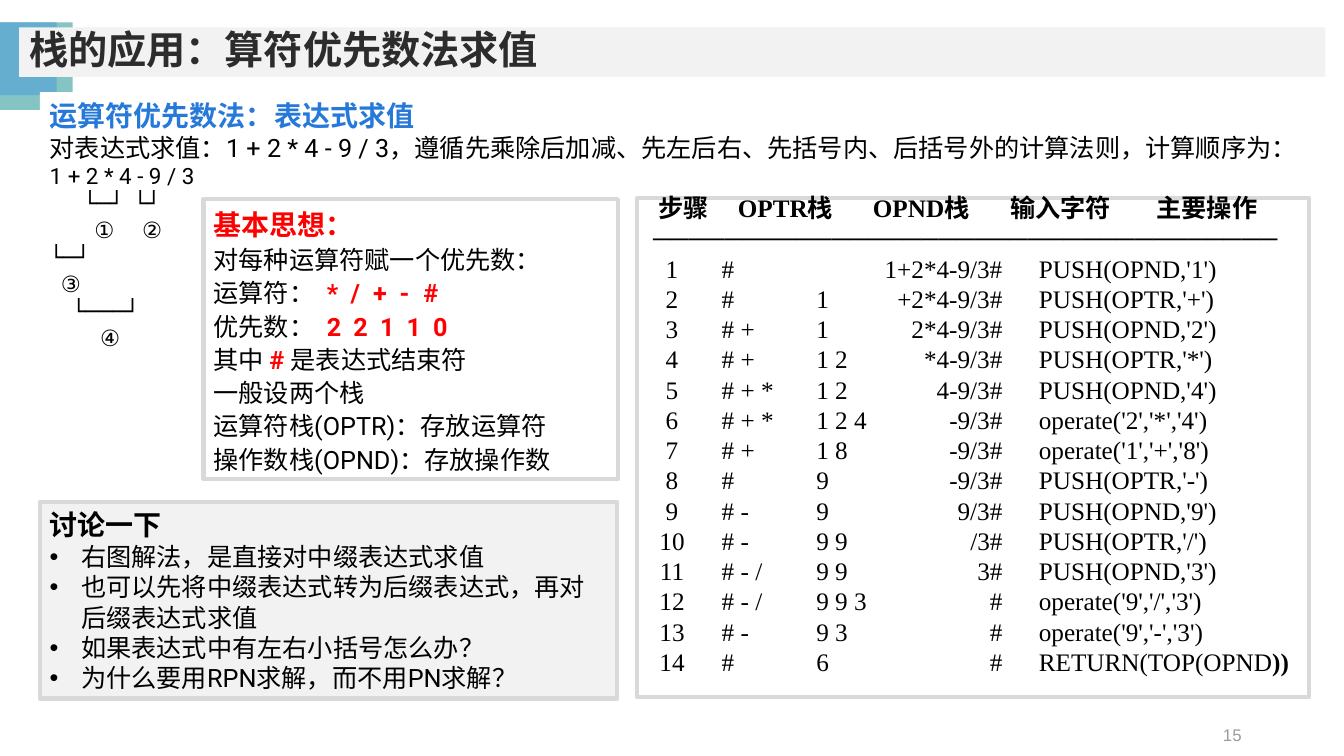
from dataclasses import dataclass
from lxml.etree import SubElement
from pptx import Presentation
from pptx.dml.color import RGBColor
from pptx.enum.shapes import MSO_SHAPE
from pptx.enum.text import MSO_ANCHOR, PP_ALIGN
from pptx.oxml.ns import qn
from pptx.slide import Slide
from pptx.text.text import TextFrame
from pptx.util import Pt

HUES = {
    "teal": "84C4C3", "sky": "65AECF", "pale": "F2F2F2", "white": "FFFFFF",
    "edge": "D9D9D9", "ink": "2C2C2C", "grey": "9B9B9B", "blue": "2679D9",
    "red": "FF0000", "black": "000000",
}


@dataclass(frozen=True)
class Style:
    size: float = 18
    hue: str = "black"
    bold: bool = False
    name: str = "Roboto"


@dataclass(frozen=True)
class Run:
    text: str
    style: Style = Style()


@dataclass(frozen=True)
class Line:
    runs: tuple[Run, ...]
    hang: float = 0
    bullet: str = ""
    tabs: tuple[tuple[float, str], ...] = ()
    pitch: float = 1.0
    align: PP_ALIGN = PP_ALIGN.LEFT


@dataclass(frozen=True)
class Box:
    left: float
    top: float
    width: float
    height: float
    fill: str = ""
    edge: str = ""
    foot: float = 3.6
    lines: tuple[Line, ...] = ()


BODY = Style()
RED = Style(hue="red", bold=True)
SMALL = Style(size=16)
SERIF = Style(name="Times New Roman")
HEAVY = Style(name="Times New Roman", bold=True)


def stops(*spots: float) -> tuple[tuple[float, str], ...]:
    return tuple((spot, "l") for spot in spots)


def plain(text: str, style: Style = BODY, **form) -> Line:
    return Line((Run(text, style),), **form)


def idea(*runs: Run, tabs: tuple[tuple[float, str], ...] = ()) -> Line:
    return Line(runs, tabs=tabs, pitch=1.1)


def write(frame: TextFrame, lines: tuple[Line, ...]) -> None:
    for i, line in enumerate(lines):
        para = frame.add_paragraph() if i else frame.paragraphs[0]
        para.alignment = line.align
        para.line_spacing = line.pitch
        props = para._p.get_or_add_pPr()
        if line.bullet:
            props.set("marL", str(Pt(line.hang)))
            props.set("indent", str(Pt(-line.hang)))
            SubElement(props, qn("a:buFont"), typeface="Arial")
            SubElement(props, qn("a:buChar"), char=line.bullet)
        if line.tabs:
            row = SubElement(props, qn("a:tabLst"))
            for spot, side in line.tabs:
                SubElement(row, qn("a:tab"), pos=str(Pt(spot)), algn=side)
        for part in line.runs:
            run = para.add_run()
            run.text = part.text
            style = part.style
            form = {"size": Pt(style.size), "bold": style.bold, "name": style.name}
            for key, value in form.items():
                setattr(run.font, key, value)
            run.font.color.rgb = RGBColor.from_string(HUES[style.hue])


def draw(slide: Slide, box: Box) -> None:
    place = [Pt(n) for n in (box.left, box.top, box.width, box.height)]
    if box.fill:
        shape = slide.shapes.add_shape(MSO_SHAPE.RECTANGLE, *place)
        shape.shadow.inherit = False
        shape.fill.solid()
        shape.fill.fore_color.rgb = RGBColor.from_string(HUES[box.fill])
        if box.edge:
            shape.line.color.rgb = RGBColor.from_string(HUES[box.edge])
            shape.line.width = Pt(3)
        else:
            shape.line.fill.background()
    else:
        shape = slide.shapes.add_textbox(*place)
    if box.lines:
        frame = shape.text_frame
        form = {"word_wrap": True, "vertical_anchor": MSO_ANCHOR.MIDDLE,
                "margin_bottom": Pt(box.foot)}
        for key, value in form.items():
            setattr(frame, key, value)
        write(frame, box.lines)


ORDER = (
    plain("运算符优先数法：表达式求值", Style(20, "blue", True)),
    plain("对表达式求值：1 + 2 * 4 - 9 / 3，遵循先乘除后加减、先左后右、"
          "先括号内、后括号外的计算法则，计算顺序为："),
    plain("1 + 2 * 4 - 9 / 3", SMALL),
    plain("\t└─┘\t└┘", SMALL, tabs=stops(24, 60)),
    plain("\t①\t②", SMALL, tabs=stops(32, 66)),
    plain("└─┘", SMALL),
    plain("\t③", SMALL, tabs=stops(8)),
    plain("\t└───┘", SMALL, tabs=stops(16)),
    plain("\t④", SMALL, tabs=stops(36)),
)

IDEAS = (
    idea(Run("基本思想：", Style(20, "red", True))),
    idea(Run("对每种运算符赋一个优先数：")),
    idea(Run("运算符：\t"), Run("*\t/\t+\t-\t#", RED), tabs=stops(81, 98, 114, 133, 150)),
    idea(Run("优先数：\t"), Run("2\t2\t1\t1\t0", RED), tabs=stops(81, 100, 119, 138, 157)),
    idea(Run("其中 "), Run("# ", RED), Run("是表达式结束符")),
    *(idea(Run(text)) for text in (
        "一般设两个栈", "运算符栈(OPTR)：存放运算符", "操作数栈(OPND)：存放操作数")),
)

# OPTR, OPND, input, action
STEPS = (
    ("#", "", "1+2*4-9/3#", "PUSH(OPND,'1')"),
    ("#", "1", "+2*4-9/3#", "PUSH(OPTR,'+')"),
    ("# +", "1", "2*4-9/3#", "PUSH(OPND,'2')"),
    ("# +", "1 2", "*4-9/3#", "PUSH(OPTR,'*')"),
    ("# + *", "1 2", "4-9/3#", "PUSH(OPND,'4')"),
    ("# + *", "1 2 4", "-9/3#", "operate('2','*','4')"),
    ("# +", "1 8", "-9/3#", "operate('1','+','8')"),
    ("#", "9", "-9/3#", "PUSH(OPTR,'-')"),
    ("# -", "9", "9/3#", "PUSH(OPND,'9')"),
    ("# -", "9 9", "/3#", "PUSH(OPTR,'/')"),
    ("# - /", "9 9", "3#", "PUSH(OPND,'3')"),
    ("# - /", "9 9 3", "#", "operate('9','/','3')"),
    ("# -", "9 3", "#", "operate('9','-','3')"),
    ("#", "6", "#", "RETURN(TOP(OPND"),
)
COLS = ((18, "ctr"), (53.5, "l"), (121, "l"), (254, "r"), (280, "l"))


def trace() -> tuple[Line, ...]:
    """Heading, rule and numbered steps of the evaluation."""
    head = plain("\t步骤\tOPTR栈\tOPND栈\t输入字符\t主要操作", HEAVY,
                 tabs=stops(8, 65, 161.5, 259.5, 364))
    rule = plain("\t" + "─" * 35, HEAVY, tabs=stops(4.5))
    rows = []
    for i, step in enumerate(STEPS, 1):
        runs = (Run("\t" + "\t".join((str(i), *step)), SERIF),)
        if i == len(STEPS):
            runs += (Run("))", HEAVY),)
        rows.append(Line(runs, tabs=COLS))
    return (head, rule, *rows)


TALK = (
    plain("讨论一下", Style(20, bold=True)),
    *(plain(text, hang=22.5, bullet="•") for text in (
        "右图解法，是直接对中缀表达式求值",
        "也可以先将中缀表达式转为后缀表达式，再对后缀表达式求值",
        "如果表达式中有左右小括号怎么办？",
        "为什么要用RPN求解，而不用PN求解？")),
)

TITLE = plain("栈的应用：算符优先数法求值", Style(28, "ink", True, "Arial"), pitch=0.9)
PAGE = plain("15", Style(12, "grey", name="Arial"), align=PP_ALIGN.RIGHT)

BOXES = (
    Box(0, 16, 52, 62.5, "teal"),
    Box(0, 16, 40.5, 52, "sky"),
    Box(13.7, 19.5, 933, 35.5, "pale", lines=(TITLE,)),
    Box(678, 510.5, 216, 29, lines=(PAGE,)),
    Box(28.4, 65.8, 906.5, 189.4, "white", lines=ORDER),
    Box(145.4, 142.3, 296, 200, "white", "edge", lines=IDEAS),
    Box(455, 141.3, 480.2, 356.4, "white", "edge", foot=22, lines=trace()),
    Box(28.4, 358.6, 412.6, 140.4, "pale", "edge", lines=TALK),
)


def main() -> None:
    deck = Presentation()
    deck.slide_width, deck.slide_height = Pt(960), Pt(540)
    slide = deck.slides.add_slide(deck.slide_layouts[6])
    for box in BOXES:
        draw(slide, box)
    deck.save("out.pptx")


if __name__ == "__main__":
    main()
